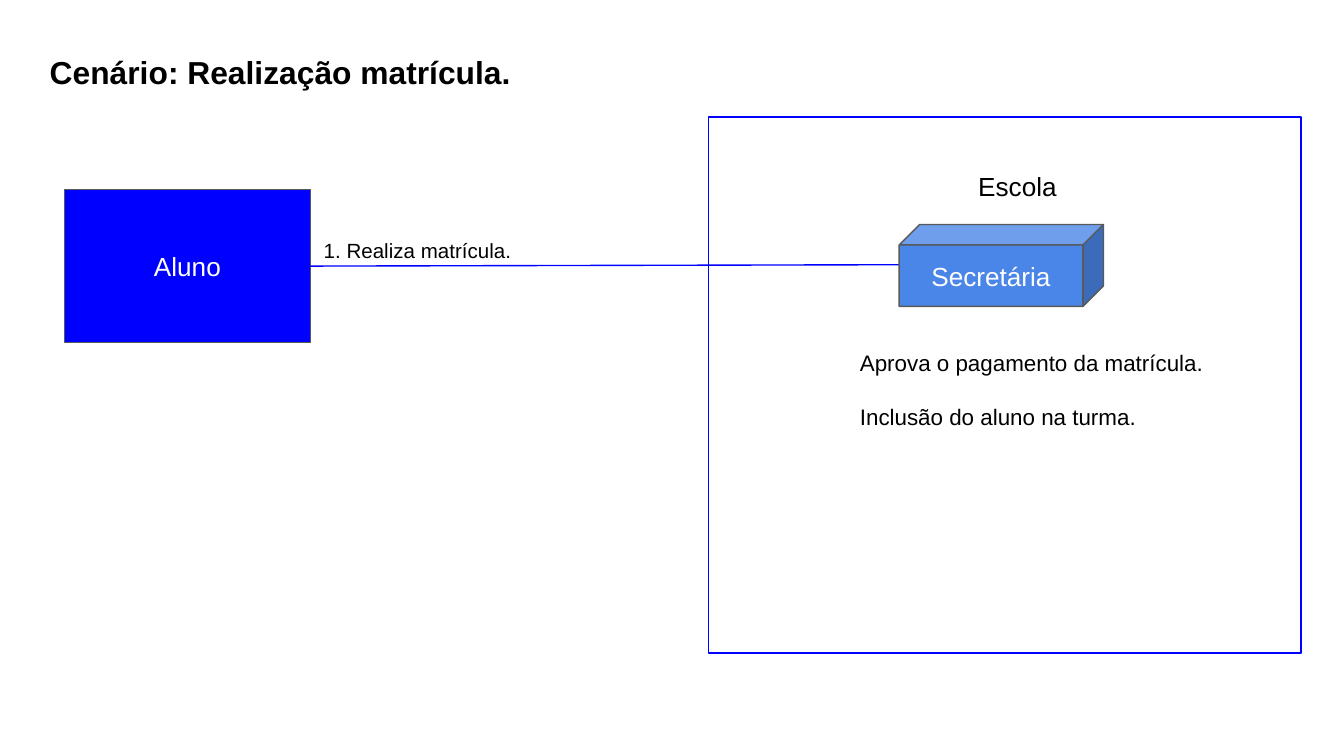
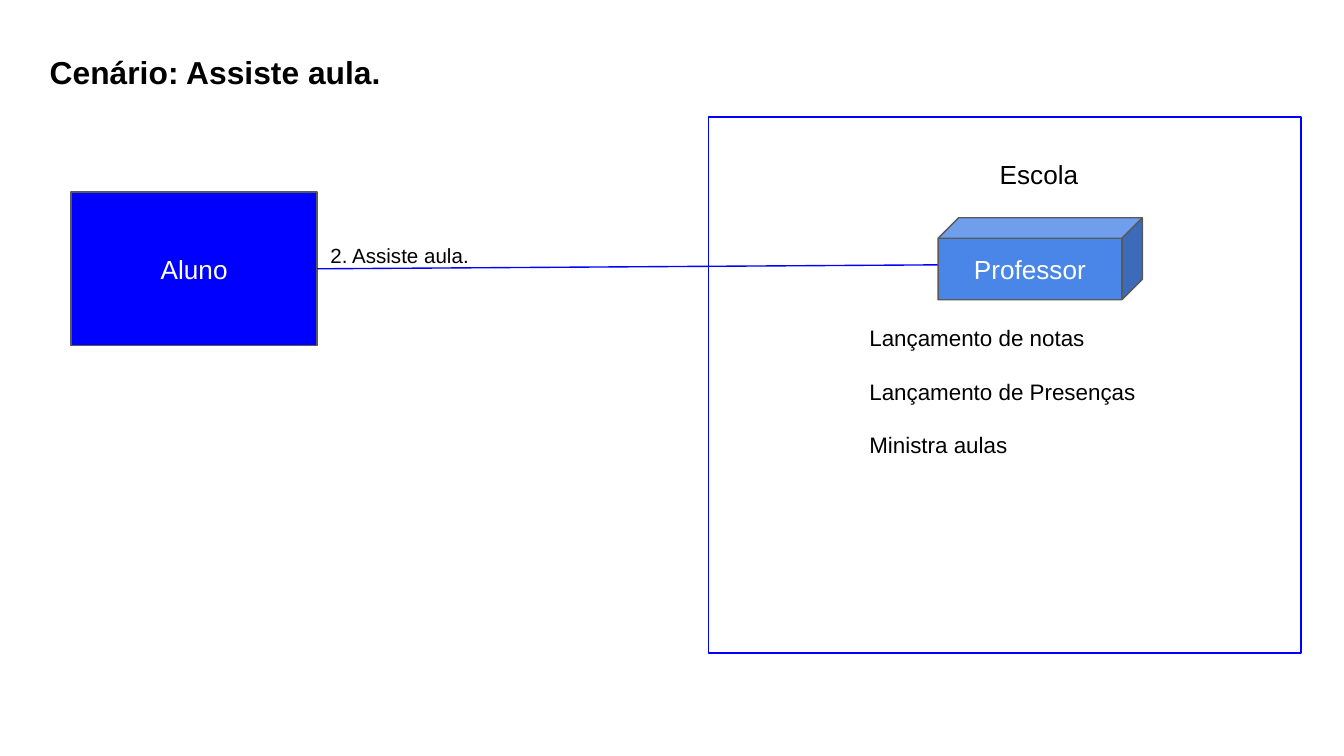
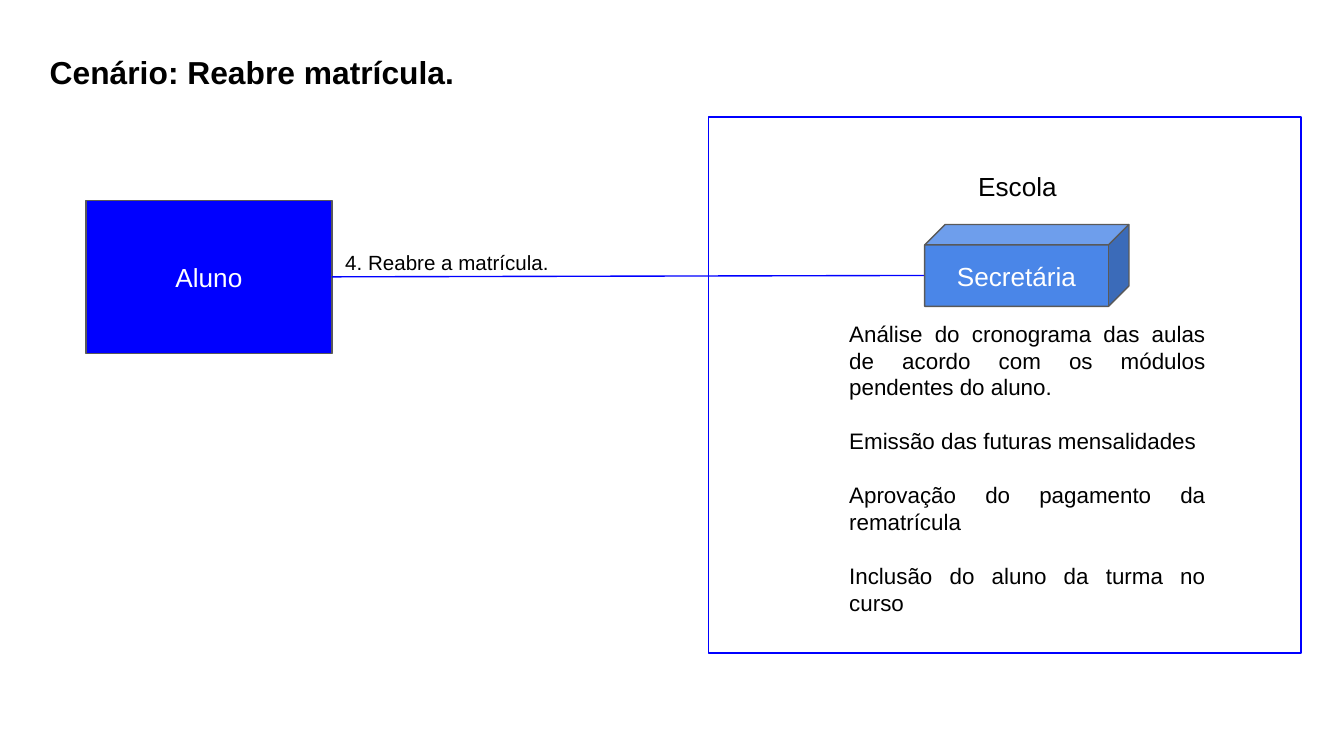
from dataclasses import dataclass

from lxml.etree import SubElement
from pptx import Presentation
from pptx.dml.color import RGBColor
from pptx.enum.shapes import MSO_CONNECTOR, MSO_SHAPE
from pptx.enum.text import MSO_ANCHOR, MSO_AUTO_SIZE, PP_ALIGN
from pptx.oxml.ns import qn
from pptx.util import Inches, Pt

FONT = "Arial"
BLACK = RGBColor(0x00, 0x00, 0x00)
WHITE = RGBColor(0xFF, 0xFF, 0xFF)
BLUE = RGBColor(0x00, 0x00, 0xFF)
CUBE_BLUE = RGBColor(0x4A, 0x86, 0xE8)
GREY = RGBColor(0x59, 0x59, 0x59)

SLIDE_WIDTH = 10
SLIDE_HEIGHT = SLIDE_WIDTH * 9 / 16
LINE_WIDTH = Pt(0.75)
TITLE_ONLY = 5
SCHOOL_BOX = (5.27, 0.87, 4.41, 3.99)
STUDENT_SIZE = (1.83, 1.14)
STAFF_SIZE = (1.52, 0.61)


@dataclass
class Scenario:
    """Positions of staff, school label and tasks are offsets in the school box."""
    title: str
    message: str
    staff: str
    tasks: list
    student_at: tuple
    message_drop: float
    label_at: tuple
    staff_at: tuple
    tasks_at: tuple
    link_end: tuple
    title_width: float = 3.79
    tasks_width: float = 2.85
    tasks_align: PP_ALIGN = PP_ALIGN.JUSTIFY


SCENARIOS = [
    Scenario(
        title="Cenário: Realização matrícula.",
        message="1. Realiza matrícula.",
        staff="Secretária",
        tasks=["Aprova o pagamento da matrícula.", "Inclusão do aluno na turma."],
        student_at=(0.48, 1.41), message_drop=0.26,
        label_at=(1.91, 0.3), staff_at=(1.42, 0.8), tasks_at=(1.03, 1.63),
        link_end=(1.42, 1.1), tasks_width=2.83,
    ),
    Scenario(
        title="Cenário: Assiste aula.",
        message="2. Assiste aula.",
        staff="Professor",
        tasks=["Lançamento de notas", "Lançamento de Presenças", "Ministra aulas"],
        student_at=(0.53, 1.43), message_drop=0.28,
        label_at=(2.07, 0.21), staff_at=(1.71, 0.75), tasks_at=(1.1, 1.44),
        link_end=(1.86, 1.1), tasks_align=PP_ALIGN.LEFT,
    ),
    Scenario(
        title="Cenário: Reabre matrícula.",
        message="4. Reabre a matrícula.",
        staff="Secretária",
        tasks=[
            "Análise do cronograma das aulas de acordo com os módulos pendentes do aluno.",
            "Emissão das futuras mensalidades",
            "Aprovação do pagamento da rematrícula",
            "Inclusão do aluno da turma no curso",
        ],
        student_at=(0.64, 1.49), message_drop=0.27,
        label_at=(1.91, 0.3), staff_at=(1.61, 0.8), tasks_at=(0.95, 1.41),
        link_end=(1.61, 1.18), title_width=5.39,
    ),
]


def write(box, *lines, size, color=BLACK, bold=False, align=PP_ALIGN.LEFT,
          anchor=MSO_ANCHOR.TOP, gap=0):
    frame = box.text_frame
    frame.word_wrap = True
    frame.auto_size = MSO_AUTO_SIZE.NONE
    frame.vertical_anchor = anchor
    frame.margin_left = frame.margin_right = Inches(0.1)
    frame.margin_top = frame.margin_bottom = Inches(0.1)
    for index, line in enumerate(lines):
        para = frame.add_paragraph() if index else frame.paragraphs[0]
        para.alignment = align
        para.space_before = Pt(gap if index else 0)
        span = para.add_run()
        span.text = line
        span.font.name = FONT
        span.font.size = Pt(size)
        span.font.bold = bold
        span.font.color.rgb = color


def add_label(page, left, top, width, height, *lines, **style):
    box = page.shapes.add_textbox(*map(Inches, (left, top, width, height)))
    write(box, *lines, **style)


def add_block(page, kind, left, top, width, height, fill, line, text=None):
    block = page.shapes.add_shape(kind, *map(Inches, (left, top, width, height)))
    block.shadow.inherit = False
    block.fill.solid()
    block.fill.fore_color.rgb = fill
    block.line.color.rgb = line
    block.line.width = LINE_WIDTH
    if text:
        write(block, text, size=14, color=WHITE, align=PP_ALIGN.CENTER,
              anchor=MSO_ANCHOR.MIDDLE)


def add_link(page, start, end):
    link = page.shapes.add_connector(MSO_CONNECTOR.STRAIGHT, *map(Inches, start + end))
    link.line.color.rgb = BLUE
    link.line.width = LINE_WIDTH
    SubElement(link._element.spPr, qn("a:effectLst"))


def add_title(page, scenario):
    title = page.shapes.title
    title.left, title.top = Inches(0.27), Inches(0.29)
    title.width, title.height = Inches(scenario.title_width), Inches(0.61)
    write(title, scenario.title, size=17, bold=True)


def add_student(page, scenario):
    """Draw the student with the message beside it; return where the link starts."""
    left, top = scenario.student_at
    width, height = STUDENT_SIZE
    add_block(page, MSO_SHAPE.RECTANGLE, left, top, width, height, BLUE, GREY, "Aluno")
    add_label(page, left + width, top + scenario.message_drop, 2.51, 0.46,
              scenario.message, size=11)
    return left + width, top + height / 2


def add_school(page, scenario, link_start):
    """Draw the school box, the link that enters it and its contents."""
    def inside(offset):
        return SCHOOL_BOX[0] + offset[0], SCHOOL_BOX[1] + offset[1]

    add_block(page, MSO_SHAPE.RECTANGLE, *SCHOOL_BOX, WHITE, BLUE)
    add_link(page, link_start, inside(scenario.link_end))
    add_label(page, *inside(scenario.label_at), 0.8, 0.69, "Escola", size=14)
    add_block(page, MSO_SHAPE.CUBE, *inside(scenario.staff_at), *STAFF_SIZE,
              CUBE_BLUE, GREY, scenario.staff)
    add_label(page, *inside(scenario.tasks_at), scenario.tasks_width, 0.69,
              *scenario.tasks, size=12, align=scenario.tasks_align, gap=14.4)


def build_scenario(deck, scenario):
    page = deck.slides.add_slide(deck.slide_layouts[TITLE_ONLY])
    add_title(page, scenario)
    link_start = add_student(page, scenario)
    add_school(page, scenario, link_start)


def main():
    deck = Presentation()
    deck.slide_width, deck.slide_height = Inches(SLIDE_WIDTH), Inches(SLIDE_HEIGHT)
    for scenario in SCENARIOS:
        build_scenario(deck, scenario)
    deck.save("out.pptx")


if __name__ == "__main__":
    main()
